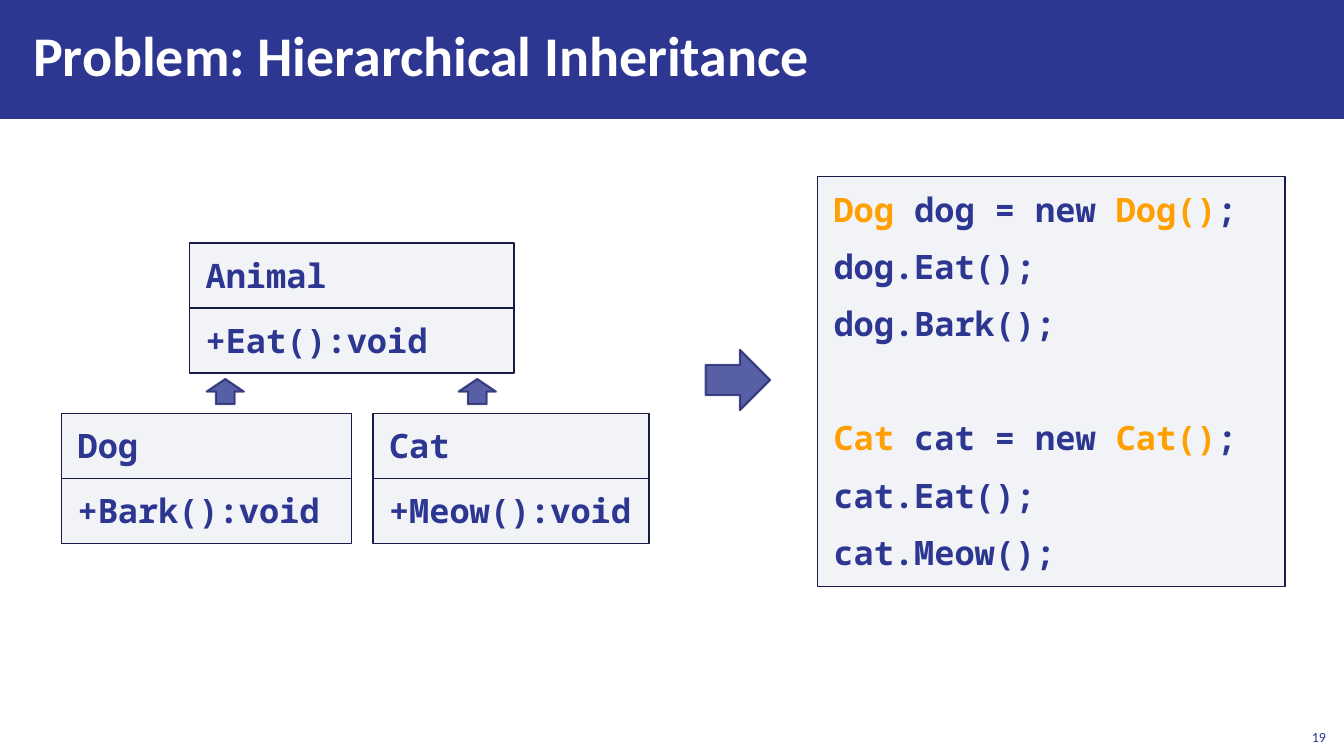
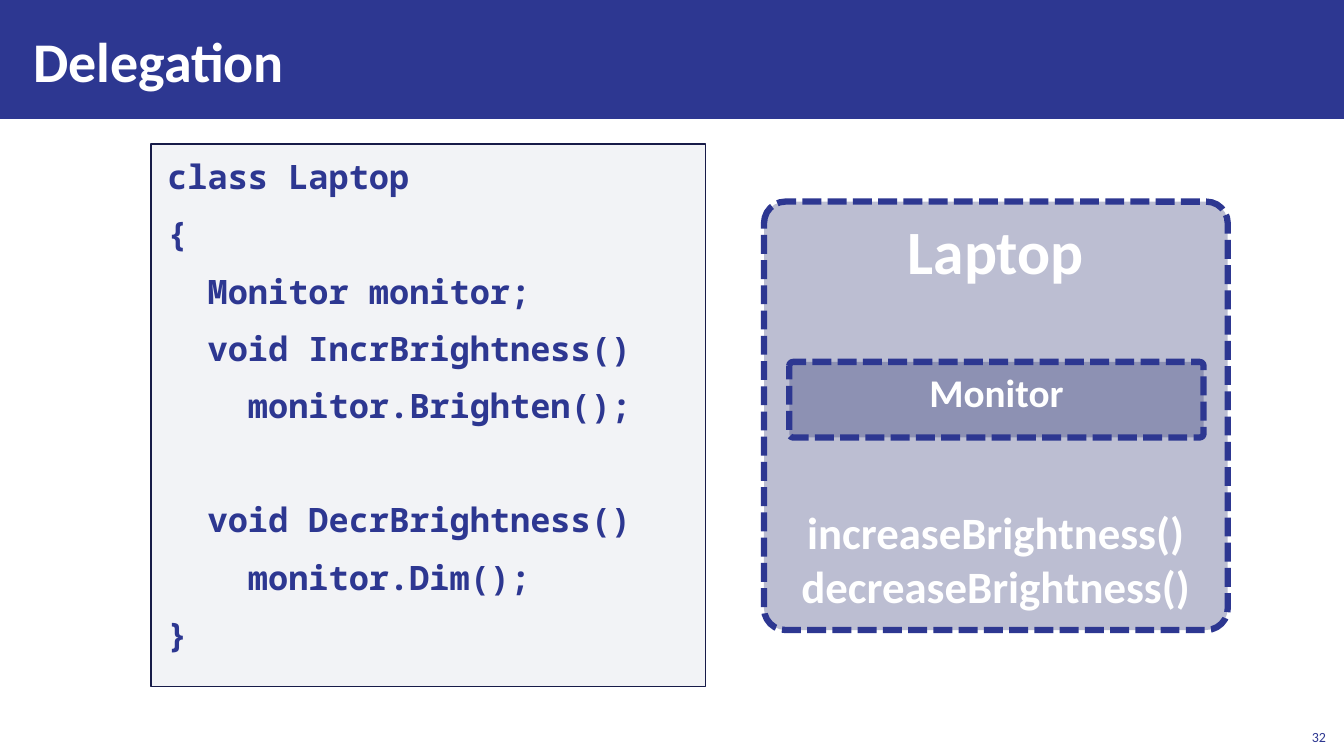
from dataclasses import dataclass

from lxml.etree import SubElement
from pptx import Presentation
from pptx.dml.color import RGBColor
from pptx.enum.dml import MSO_LINE as Dash
from pptx.enum.shapes import MSO_SHAPE as Shape
from pptx.enum.text import MSO_ANCHOR as Anchor, PP_ALIGN as Align
from pptx.oxml.ns import qn
from pptx.util import Inches, Pt


@dataclass(frozen=True)
class Theme:
    navy: str = "2D3791"
    deep: str = "22296D"
    ink: str = "171B48"
    mist: str = "ADB4C3"
    amber: str = "FFA000"
    white: str = "FFFFFF"
    sans: str = "Calibri"
    mono: str = "Noto Sans Mono"
    title: int = 40
    code: int = 24
    note: int = 10
    head: int = 44
    call: int = 32
    inner: int = 28


T = Theme()
CELL = 0.1  # inches per grid column and row
COLS, ROWS = 133.33, 75

PANEL = dict(fill=T.mist, alpha=15, line=T.ink, width=1)
ARROW = dict(fill=T.navy, alpha=80, line=T.deep, width=1.5, fade=80)
SHELL = dict(fill=T.deep, alpha=30, line=T.navy, width=4.5, dash=Dash.SQUARE_DOT)
CODE = dict(name=T.mono, size=T.code, bold=True)
LABEL = dict(name=T.sans, bold=True)
PAD = dict(margin_left=1.6, margin_right=1.6, margin_top=1.2, margin_bottom=1.2)
BLANK = 41  # points taken by one empty code line


@dataclass(frozen=True)
class Box:
    """A rectangle in grid columns and rows."""
    x: float
    y: float
    w: float
    h: float

    def sub(self, x, y, w, h):
        return Box(self.x + x, self.y + y, w, h)

    def place(self):
        return [Inches(v * CELL) for v in (self.x, self.y, self.w, self.h)]


def apply(item, values):
    for name, value in values.items():
        setattr(item, name, value)


def veil(node, alpha):
    """Set the opacity, in percent, of the solid fill under node."""
    color = node.find(qn("a:solidFill")).find(qn("a:srgbClr"))
    SubElement(color, qn("a:alpha")).set("val", str(alpha * 1000))


def draw(slide, kind, box, fill, alpha=100, line=None, width=1, fade=100, dash=None):
    shape = slide.shapes.add_shape(kind, *box.place())
    shape.shadow.inherit = False
    shape.fill.solid()
    shape.fill.fore_color.rgb = RGBColor.from_string(fill)
    props = shape.element.spPr
    if alpha < 100:
        veil(props, alpha)
    if line is None:
        shape.line.fill.background()
        return shape
    shape.line.color.rgb = RGBColor.from_string(line)
    apply(shape.line, dict(width=Pt(width), dash_style=dash))
    if fade < 100:
        veil(props.find(qn("a:ln")), fade)
    return shape


def frame(shape, pads, anchor=Anchor.TOP):
    """Set up the text frame with margins given in grid cells."""
    text = shape.text_frame
    apply(text, {name: Inches(v * CELL) for name, v in pads.items()})
    apply(text, dict(word_wrap=True, vertical_anchor=anchor))
    return text


def write(text, lines, fonts, look):
    """Write lines of (text, colour) runs; the last font serves the remaining lines."""
    for i, runs in enumerate(lines):
        para = text.add_paragraph() if i else text.paragraphs[0]
        apply(para, look(i))
        font = fonts[min(i, len(fonts) - 1)]
        for words, color in runs:
            run = para.add_run()
            run.text = words
            apply(run.font, {**font, "size": Pt(font["size"])})
            run.font.color.rgb = RGBColor.from_string(color)


def label(slide, box, words, font, color, pads, anchor, **look):
    shape = slide.shapes.add_textbox(*box.place())
    write(frame(shape, pads, anchor), [[(words, color)]], [font], lambda i: look)


def panel(slide, box, lines, gaps=()):
    """Code panel; gaps lists the lines that follow an empty one."""
    def look(i):
        before = BLANK * (i in gaps) + 6 if i else 0
        return dict(alignment=Align.LEFT, space_before=Pt(before), space_after=Pt(6))

    runs = [[(line, T.navy)] if isinstance(line, str) else line for line in lines]
    write(frame(draw(slide, Shape.RECTANGLE, box, **PANEL), PAD), runs, [CODE], look)


def card(slide, box, *rows):
    """Class card split into equal rows."""
    high = box.h / len(rows)
    for i, row in enumerate(rows):
        panel(slide, box.sub(0, i * high, box.w, high), [row])


def tree(slide, box):
    high = 12.9
    base = box.h - high
    card(slide, box.sub(12.7, 0, 32.2, high), "Animal", "+Eat():void")
    card(slide, box.sub(0, base, 28.8, high), "Dog", "+Bark():void")
    card(slide, box.sub(30.9, base, 27.4, high), "Cat", "+Meow():void")
    for x in (14.4, 39.4):
        draw(slide, Shape.UP_ARROW, box.sub(x, high + 0.6, 3.7, 2.5), **ARROW)


def create(kind, name):
    """Code line that makes a new object, with its type in amber."""
    return [(kind, T.amber), (f" {name} = new ", T.navy),
            (f"{kind}()", T.amber), (";", T.navy)]


def shell(slide, box, lines, sizes, gaps):
    """Dashed translucent box; gaps are the points before each line."""
    shape = draw(slide, Shape.ROUNDED_RECTANGLE, box, **SHELL)
    shape.adjustments[0] = 0.05
    write(frame(shape, {}), [[(line, T.white)] for line in lines],
          [{**LABEL, "size": size} for size in sizes],
          lambda i: dict(alignment=Align.CENTER, space_before=Pt(gaps[i])))


def nest(slide, box):
    """Laptop shell with its monitor inside."""
    shell(slide, box, ["Laptop", "increaseBrightness()", "decreaseBrightness()"],
          [T.head, T.call], [0, 4 * 39, 0])
    shell(slide, box.sub(2.5, 15.9, box.w - 4.9, 7.5), ["Monitor"], [T.inner], [0])


def page(deck, title, number, **look):
    """Blank slide with the title band and the page number."""
    slide = deck.slides.add_slide(deck.slide_layouts[6])
    draw(slide, Shape.RECTANGLE, Box(0, -0.2, COLS, 12), T.navy)
    label(slide, Box(2.1, 1.1, 104, 9.7), title, {**LABEL, "size": T.title}, T.white,
          dict(margin_left=1.2, margin_right=1.2, margin_top=0.4, margin_bottom=0.4),
          Anchor.MIDDLE, **look)
    label(slide, Box(COLS - 4.8, ROWS - 3.8, 4, 3.2), str(number),
          dict(name=T.sans, size=T.note), T.navy, {}, Anchor.BOTTOM,
          alignment=Align.RIGHT)
    return slide


def problem(deck):
    slide = page(deck, "Problem: Hierarchical Inheritance", 19, line_spacing=Pt(40))
    tree(slide, Box(6.1, 24.1, 58.3, 29.8))
    draw(slide, Shape.RIGHT_ARROW, Box(70, 34.7, 6.4, 6), **ARROW)
    panel(slide, Box(81.1, 17.5, 46.4, 40.7), [
        create("Dog", "dog"), "dog.Eat();", "dog.Bark();",
        create("Cat", "cat"), "cat.Eat();", "cat.Meow();"], gaps=[3])


def delegation(deck):
    slide = page(deck, "Delegation", 32)
    panel(slide, Box(15, 14.3, 55, 53.8), [
        "class Laptop",
        "{",
        "  Monitor monitor;",
        "  void IncrBrightness()",
        "    monitor.Brighten();",
        "  void DecrBrightness()",
        "    monitor.Dim();",
        "}"], gaps=[5])
    nest(slide, Box(75.8, 20, 46, 42.5))


def main():
    deck = Presentation()
    apply(deck, dict(slide_width=Inches(COLS * CELL), slide_height=Inches(ROWS * CELL)))
    problem(deck)
    delegation(deck)
    deck.save("out.pptx")


if __name__ == "__main__":
    main()
